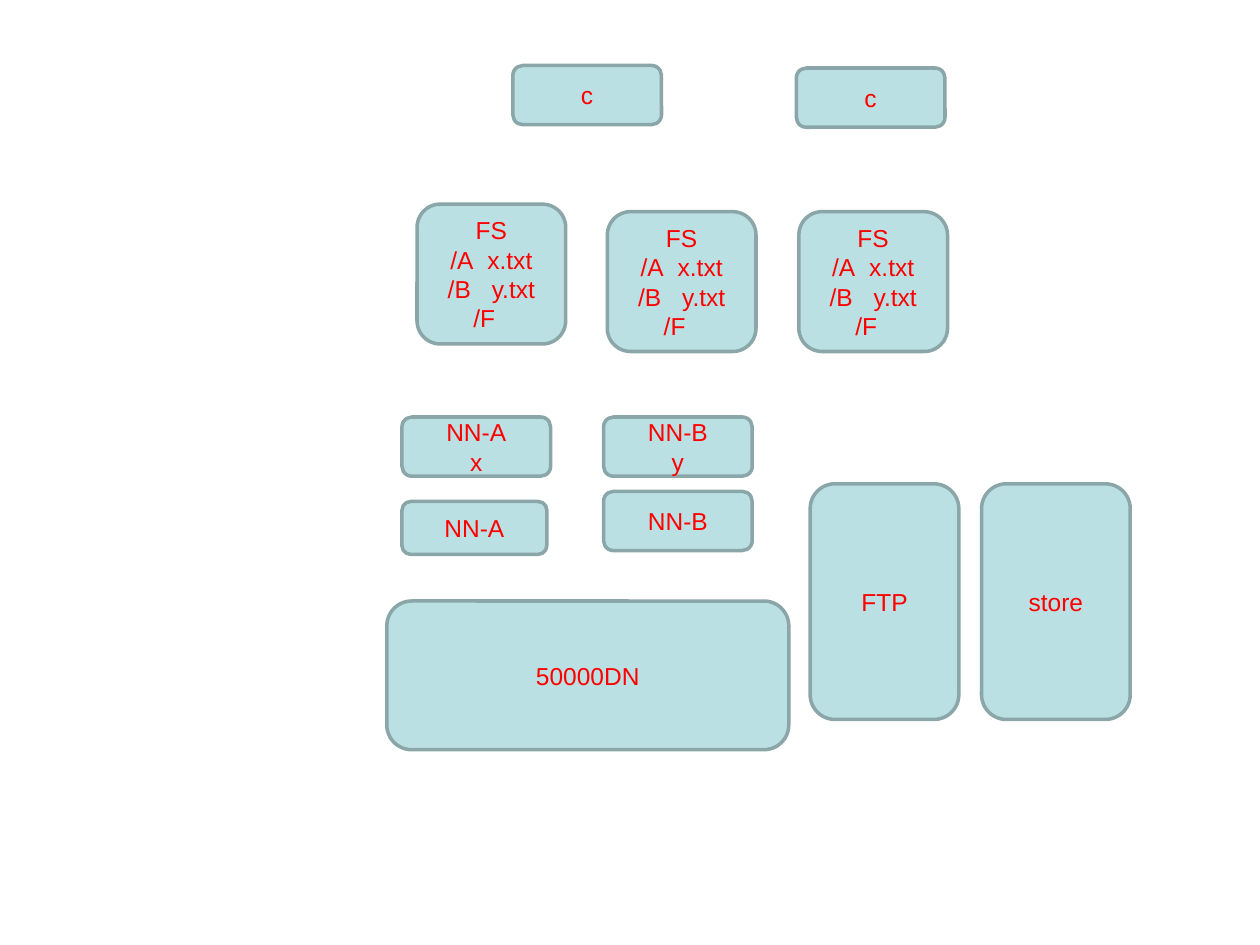
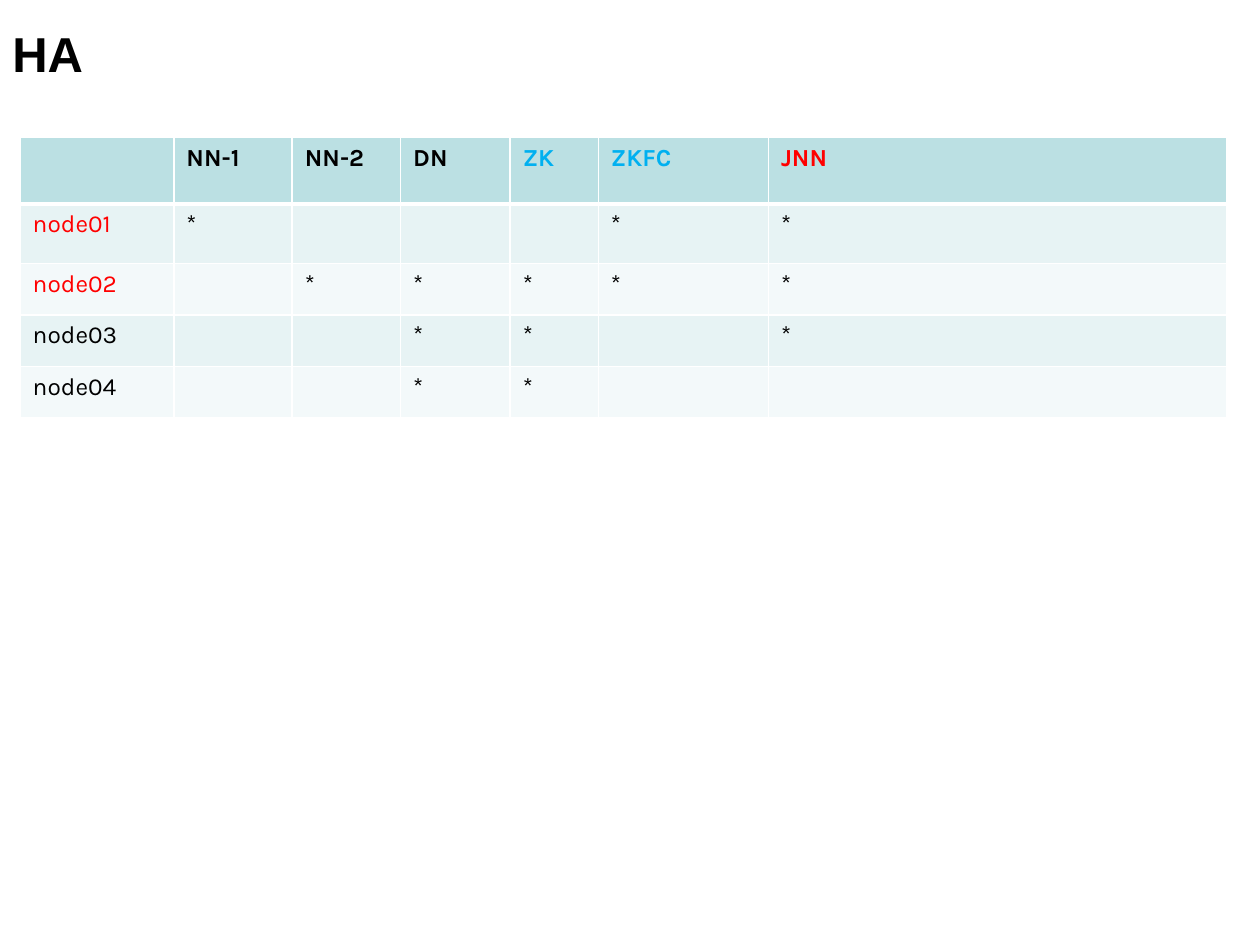
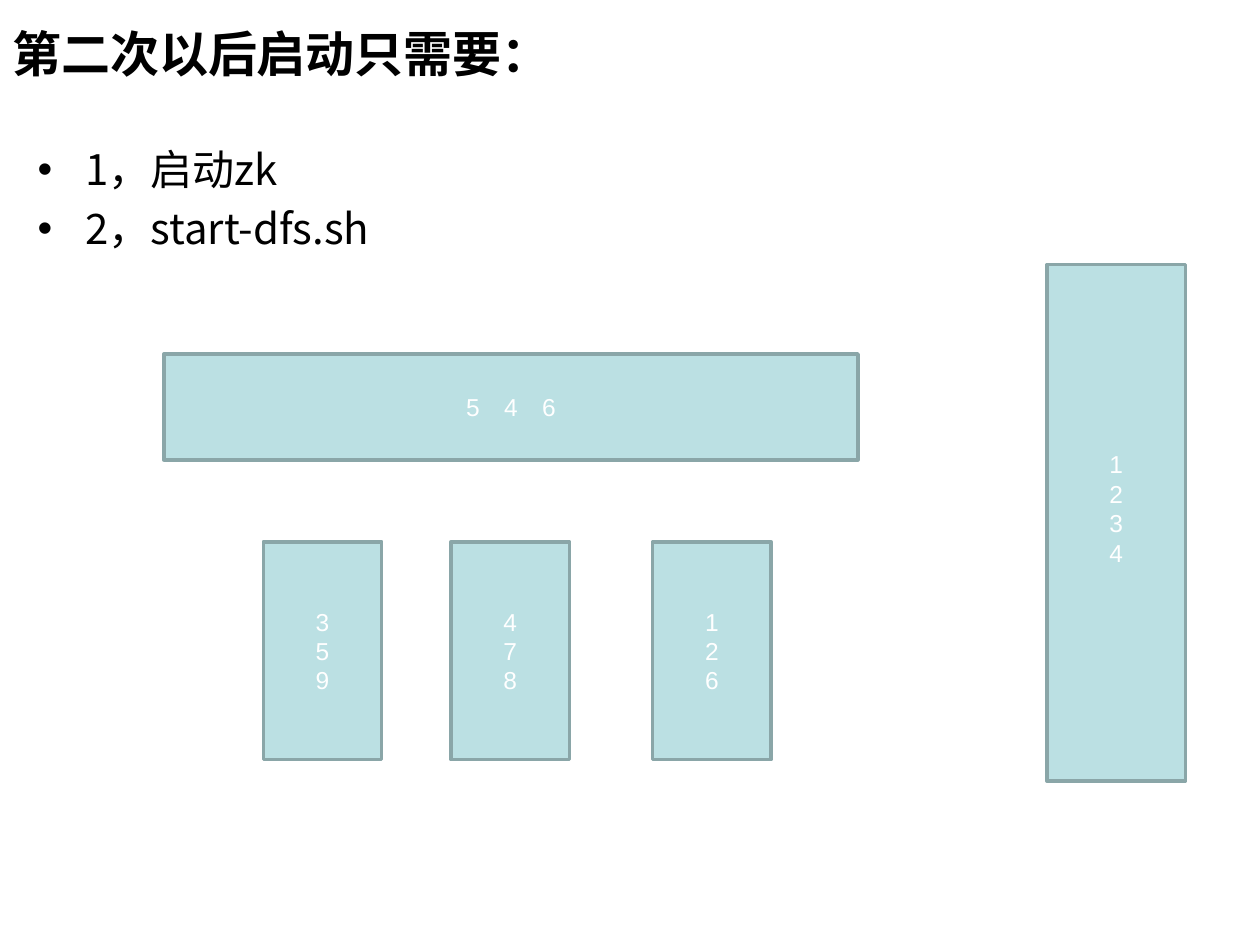
from pptx import Presentation as Deck
from pptx.util import Inches, Pt
from pptx.dml.color import RGBColor as Rgb
from pptx.enum.shapes import MSO_SHAPE as Kind
from pptx.enum.text import PP_ALIGN as Align, MSO_ANCHOR as Mid
from pptx.oxml import parse_xml as make
from pptx.oxml.ns import nsdecls

HUE = {"fill": "BBE0E3", "edge": "8AA6A8", "red": "FF0000", "blue": "00B0F0",
       "white": "FFFFFF", "black": "000000", "odd": "E7F3F4", "even": "F3F9FA"}
GAP = {"/A x.txt": 4, "/B y.txt": 8, "5 4 6": 10}
NS = nsdecls("a")

deck = Deck()
deck.slide_width, deck.slide_height = Inches(10), Inches(7.5)
unit = deck.slide_width / 100


def style(run, size, hue, face="Arial", bold=False):
    font = run.font
    font.size, font.name, font.bold = Pt(size), face, bold
    font.color.rgb = Rgb.from_string(HUE[hue])


def box(page, kind, place, lines, hue):
    shape = page.shapes.add_shape(kind, *[round(n * unit) for n in place])
    shape.shadow.inherit = False
    shape.fill.solid()
    shape.fill.fore_color.rgb = Rgb.from_string(HUE["fill"])
    shape.line.color.rgb = Rgb.from_string(HUE["edge"])
    shape.line.width = Pt(2)
    frame = shape.text_frame
    frame.vertical_anchor = Mid.MIDDLE
    frame.text = "\n".join(lines)
    for para, line in zip(frame.paragraphs, lines):
        para.alignment = Align.CENTER
        if line in GAP:
            words = line.split(" ")
            para.runs[0].text = words[0]
            for word in words[1:]:
                blank = para.add_run()
                blank.text = " "
                blank.font._element.set("spc", str(GAP[line] * 100))
                para.add_run().text = word
        if line == "/F":
            para._p.get_or_add_pPr().set("marR", str(Pt(8)))
        for run in para.runs:
            style(run, 14, hue)
    return shape


pages = [deck.slides.add_slide(deck.slide_layouts[6]) for _ in range(3)]
plan, grid, start = pages

for page, name in ((grid, "HA"), (start, "第二次以后启动只需要：")):
    title = page.shapes.add_textbox(0, 0, deck.slide_width, round(8.4 * unit))
    title.fill.solid()
    title.fill.fore_color.rgb = Rgb.from_string(HUE["white"])
    frame = title.text_frame
    frame.word_wrap = True
    frame.vertical_anchor = Mid.MIDDLE
    frame.text = name
    style(frame.paragraphs[0].runs[0], 28, "black", bold=True)

tree = ["FS", "/A x.txt", "/B y.txt", "/F"]
wide, low, tall = 11.8, 4.7, 11.1
for place, lines in (
    ((31.9, 33.1, wide, low), ["NN-A", "x"]),
    ((47.9, 39, wide, low), ["NN-B"]),
    ((30.7, 47.7, 31.9, wide), ["50000DN"]),
    ((63.2, 5.4, wide, low), ["c"]),
    ((40.7, 5.2, wide, low), ["c"]),
    ((33.1, 16.2, wide, tall), tree),
    ((64.3, 38.4, wide, 18.7), ["FTP"]),
    ((77.9, 38.4, wide, 18.7), ["store"]),
    ((31.9, 39.8, 11.5, 4.2), ["NN-A"]),
    ((47.9, 33.1, wide, low), ["NN-B", "y"]),
    ((63.4, 16.8, wide, tall), tree),
    ((48.2, 16.8, wide, tall), tree),
):
    box(plan, Kind.ROUNDED_RECTANGLE, place, lines, "red")

heads = ["", "NN-1", "NN-2", "DN", "ZK", "ZKFC", "JNN"]
marks = {"node01": "*...**", "node02": ".*****",
         "node03": "..**.*", "node04": "..**.."}
rows = [heads] + [[node] + [m.replace(".", "") for m in line]
                  for node, line in marks.items()]
tints = {"ZK": "blue", "ZKFC": "blue", "JNN": "red",
         "node01": "red", "node02": "red"}
cols = [12.2, 9.4, 8.6, 8.7, 7, 13.5, 36.4]
highs = [5.3, 4.7, 4.1, 4.1, 4.1]
spot = [round(n * unit) for n in (1.6, 10.9, sum(cols), sum(highs))]
table = grid.shapes.add_table(len(rows), len(cols), *spot).table
for col, size in zip(table.columns, cols):
    col.width = round(size * unit)
for row, size in zip(table.rows, highs):
    row.height = round(size * unit)
for r, row in enumerate(rows):
    for c, text in enumerate(row):
        cell = table.cell(r, c)
        cell.text = text
        for run in cell.text_frame.paragraphs[0].runs:
            style(run, 14, tints.get(text, "black"), "Karla", r == 0)
        props = cell._tc.get_or_add_tcPr()
        for side in "LRTB":
            thick = 3 if (r, side) in ((0, "B"), (1, "T")) else 1
            props.append(make(
                f'<a:ln{side} {NS} w="{Pt(thick)}"><a:solidFill>'
                f'<a:srgbClr val="{HUE["white"]}"/></a:solidFill></a:ln{side}>'))
        cell.fill.solid()
        shade = "fill" if r == 0 else "odd" if r % 2 else "even"
        cell.fill.fore_color.rgb = Rgb.from_string(HUE[shade])

spot = [round(n * unit) for n in (2, 10.9, 96.1, 55.5)]
frame = start.shapes.add_textbox(*spot).text_frame
frame.word_wrap = True
frame.text = "1，启动zk\n2，start-dfs.sh"
for para in frame.paragraphs:
    para.space_before = Pt(4.8)
    props = para._p.get_or_add_pPr()
    props.set("marL", str(Inches(0.38)))
    props.set("indent", str(-Inches(0.38)))
    props.append(make(f'<a:buFont {NS} typeface="Arial"/>'))
    props.append(make(f'<a:buChar {NS} char="•"/>'))
    run = para.runs[0]
    style(run, 24, "black", "Noto Sans CJK SC")
    run.font._element.append(make(f'<a:ea {NS} typeface="Noto Sans CJK SC"/>'))

for left, lines in ((20.9, "359"), (35.8, "478"), (51.8, "126")):
    box(start, Kind.RECTANGLE, (left, 43, 9.4, 17.3), lines, "white")
box(start, Kind.RECTANGLE, (13, 28.1, 55.1, 8.4), ["5 4 6"], "white")
tower = box(start, Kind.RECTANGLE, (83.1, 21, 11, 41), "1234", "white")
tower.text_frame.margin_bottom = Inches(0.28)

deck.save("out.pptx")
